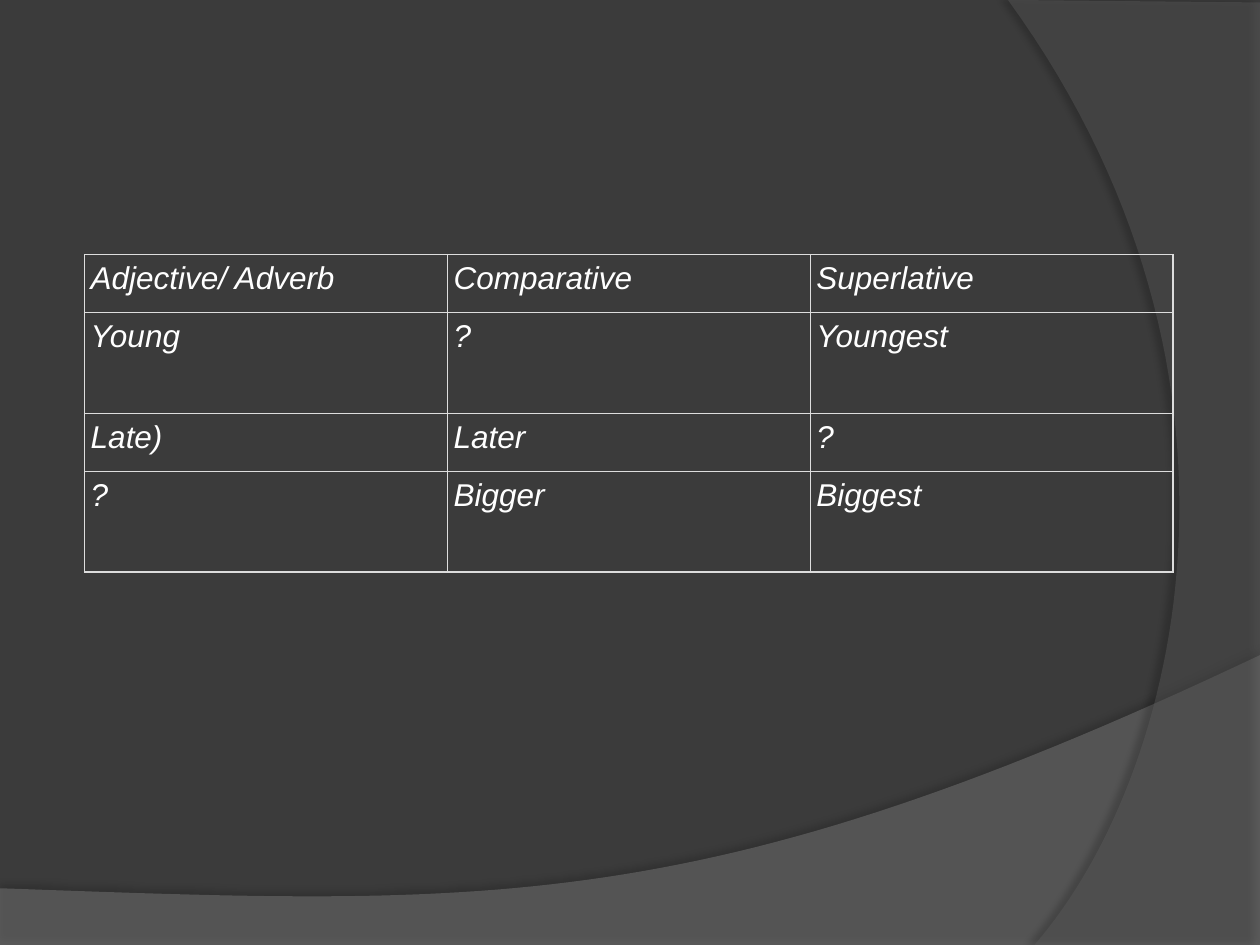
import pptx
import pptx.dml.color
import pptx.oxml
import pptx.oxml.ns
import pptx.util

# Content
ROWS = [
    ("Adjective/ Adverb", "Comparative", "Superlative"),
    ("Young", "?", "Youngest"),
    ("Late)", "Later", "?"),
    ("?", "Bigger", "Biggest"),
]
ROW_HEIGHTS = (0.46, 0.8, 0.46, 0.8)
COL_WIDTH = 2.88
TABLE_LEFT, TABLE_TOP = 0.67, 2.02
WIDTH, HEIGHT = 10, 7.5

# Each background wave: straight corners, then one Bezier curve (4 points)
WAVES = [
    dict(corners=[(0, HEIGHT), (WIDTH, HEIGHT)],
         curve=[(WIDTH, 5.2), (5.59, 7.29), (3.91, 7.19), (0, 7.05)],
         fill="7F7F7F", alpha=45, shadow=(35, 4, 3.5, 270)),
    dict(corners=[(WIDTH, 0.02), (WIDTH, HEIGHT)],
         curve=[(8.21, HEIGHT), (9.35, 6.19), (10.18, 3), (8, 0)],
         fill="5E5E5E", alpha=40, shadow=(45, 4, 4, 180)),
]
CURVE_STEPS = 60
NS = pptx.oxml.ns.nsdecls("a")


def rgb(value):
    return pptx.dml.color.RGBColor.from_string(value)


def inches(value):
    return pptx.util.Inches(value)


def bezier(points, steps):
    for i in range(steps + 1):
        t = i / steps
        weights = ((1 - t) ** 3, 3 * t * (1 - t) ** 2, 3 * t * t * (1 - t), t ** 3)
        yield tuple(sum(w * p[axis] for w, p in zip(weights, points)) for axis in (0, 1))


def add_wave(s, corners, curve, fill, alpha, shadow):
    points = [(inches(x), inches(y)) for x, y in corners + list(bezier(curve, CURVE_STEPS))]
    builder = s.shapes.build_freeform(*points[0], scale=1.0)
    builder.add_line_segments(points[1:], close=True)
    sp = builder.convert_to_shape()
    sp.line.fill.background()
    sp.fill.solid()
    sp.fill.fore_color.rgb = rgb(fill)
    color = sp.fill._xPr.find(".//" + pptx.oxml.ns.qn("a:srgbClr"))
    color.append(pptx.oxml.parse_xml(f'<a:alpha {NS} val="{alpha * 1000}"/>'))
    opacity, blur, dist, angle = shadow
    sp._element.spPr.append(pptx.oxml.parse_xml(
        f'<a:effectLst {NS}><a:outerShdw blurRad="{pptx.util.Pt(blur)}" '
        f'dist="{pptx.util.Pt(dist)}" dir="{angle * 60000}" algn="ctr" rotWithShape="0">'
        f'<a:srgbClr val="000000"><a:alpha val="{opacity * 1000}"/></a:srgbClr>'
        f'</a:outerShdw></a:effectLst>'))


def set_borders(cell, color, width):
    tc_pr = cell._tc.get_or_add_tcPr()
    for i, side in enumerate("LRTB"):
        tc_pr.insert(i, pptx.oxml.parse_xml(
            f'<a:ln{side} {NS} w="{pptx.util.Pt(width)}"><a:solidFill>'
            f'<a:srgbClr val="{color}"/></a:solidFill></a:ln{side}>'))


def fill_cell(cell, text):
    cell.fill.background()
    set_borders(cell, "DDDDDD", 0.75)
    cell.margin_left = cell.margin_right = inches(0.05)
    cell.margin_top = cell.margin_bottom = inches(0.05)
    cell.text_frame.text = text
    font = cell.text_frame.paragraphs[0].runs[0].font
    font.name, font.size = "Arial", pptx.util.Pt(18)
    font.italic, font.bold = True, False
    font.color.rgb = rgb("FFFFFF")


def main():
    prs = pptx.Presentation()
    prs.slide_width, prs.slide_height = inches(WIDTH), inches(HEIGHT)
    s = prs.slides.add_slide(prs.slide_layouts[6])
    s.background.fill.solid()
    s.background.fill.fore_color.rgb = rgb("3B3B3B")

    # Background waves
    for wave in WAVES:
        add_wave(s, **wave)

    # Comparison table
    n_cols = len(ROWS[0])
    table = s.shapes.add_table(
        len(ROWS), n_cols, inches(TABLE_LEFT), inches(TABLE_TOP),
        inches(n_cols * COL_WIDTH), inches(sum(ROW_HEIGHTS))).table
    table.first_row = table.horz_banding = False
    for column in table.columns:
        column.width = inches(COL_WIDTH)
    for row, height, texts in zip(table.rows, ROW_HEIGHTS, ROWS):
        row.height = inches(height)
        for cell, text in zip(row.cells, texts):
            fill_cell(cell, text)

    prs.save("out.pptx")


if __name__ == "__main__":
    main()
